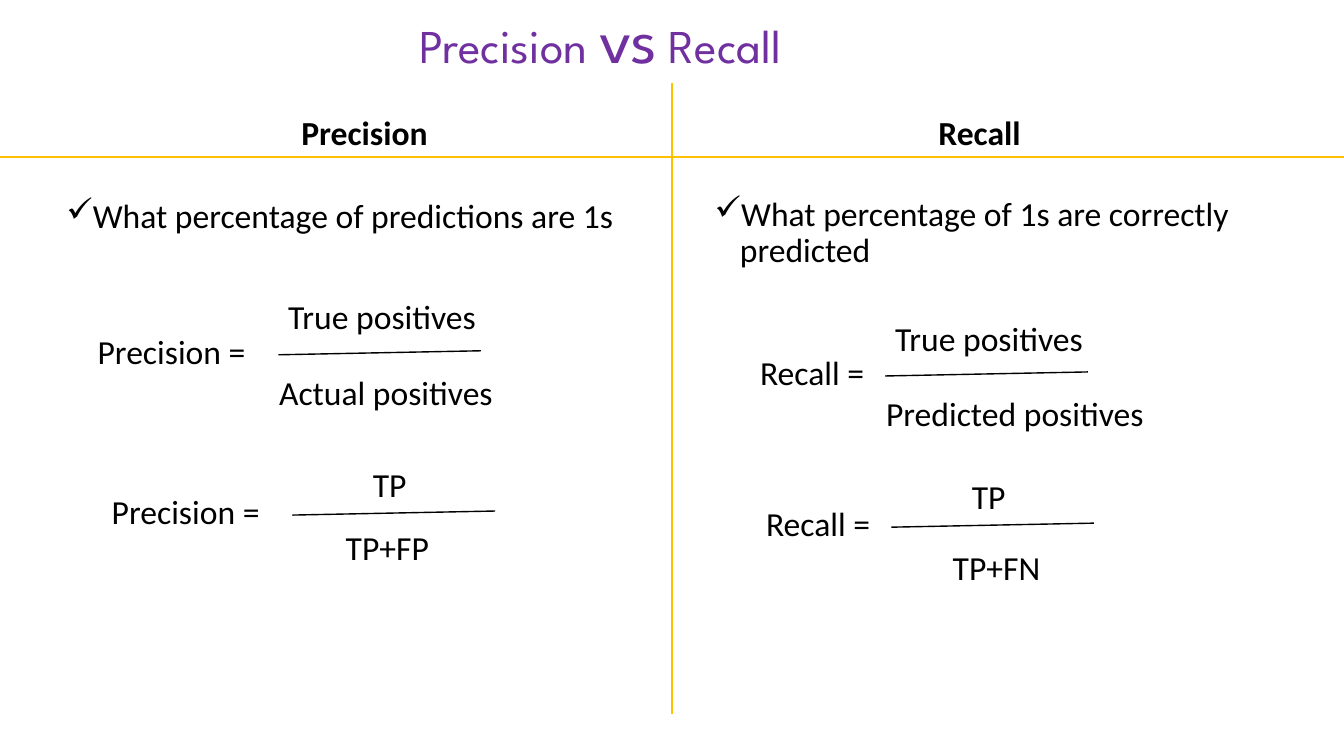
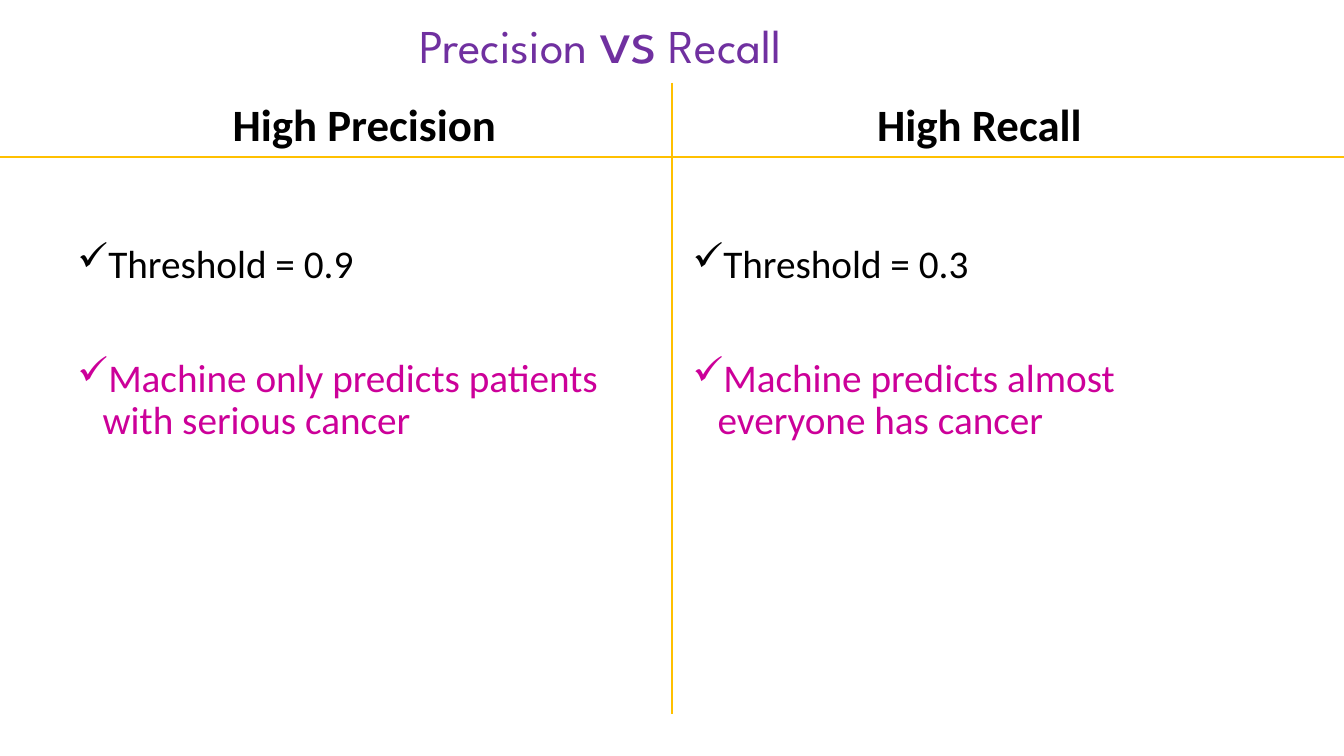
"""Build two slides that compare precision and recall."""
from dataclasses import dataclass

from lxml import etree
from pptx import Presentation
from pptx.dml.color import RGBColor as RGB
from pptx.enum.shapes import MSO_CONNECTOR as Connector
from pptx.enum.text import MSO_ANCHOR as Anchor, PP_ALIGN as Align
from pptx.oxml.ns import qn
from pptx.util import Inches, Pt


@dataclass(frozen=True)
class Theme:
    """Colours, fonts, type sizes and shared measures."""
    black: RGB = RGB(0x00, 0x00, 0x00)
    purple: RGB = RGB(0x70, 0x30, 0xA0)
    magenta: RGB = RGB(0xCC, 0x00, 0x99)
    gold: RGB = RGB(0xFF, 0xC0, 0x00)
    body_font: str = "Calibri"
    title_font: str = "League Spartan"
    title_size: float = 33.6
    versus_size: float = 48
    text_size: float = 24
    large_size: float = 28
    header_size: float = 32
    tight: float = 0.9
    point_gap: float = 51
    width: float = 13.33
    height: float = 7.5
    column_width: float = 5.89
    column_lefts: tuple = (0.67, 6.77)


T = Theme()


@dataclass(frozen=True)
class Part:
    """A numerator or denominator, placed from the bar start and the label top."""
    text: str
    dx: float
    dy: float
    width: float


def add_text(s, x, y, w, h, anchor=Anchor.TOP, wrap=True):
    """Add an empty text box and return its text frame."""
    tf = s.shapes.add_textbox(Inches(x), Inches(y), Inches(w), Inches(h)).text_frame
    tf.word_wrap = wrap
    tf.vertical_anchor = anchor
    return tf


def add_run(p, text, size=T.text_size, color=T.black, font=T.body_font, bold=False):
    """Append one formatted run to a paragraph."""
    r = p.add_run()
    r.text = text
    r.font.name = font
    r.font.size = Pt(size)
    r.font.bold = bold
    r.font.color.rgb = color


def add_line(s, x1, y1, x2, y2, color=T.black, weight=1):
    """Draw a straight line without a shadow."""
    line = s.shapes.add_connector(
        Connector.STRAIGHT, Inches(x1), Inches(y1), Inches(x2), Inches(y2))
    line.line.color.rgb = color
    line.line.width = Pt(weight)
    etree.SubElement(line._element.spPr, qn("a:effectLst"))


def add_title(s):
    """Add the shared title."""
    p = add_text(s, 4.06, 0.01, 5.22, 0.8, Anchor.MIDDLE).paragraphs[0]
    p.line_spacing = T.tight
    for text, size in (("Precision ", T.title_size), ("vs", T.versus_size),
                       (" Recall", T.title_size)):
        add_run(p, text, size, T.purple, T.title_font)


def add_headers(s, headers, size):
    """Add one centred bold header above each column."""
    for x, text in zip(T.column_lefts, headers):
        tf = add_text(s, x, 0.86, T.column_width, 0.7, Anchor.BOTTOM)
        p = tf.paragraphs[0]
        p.alignment = Align.CENTER
        if size == T.header_size:
            tf.margin_top = tf.margin_bottom = Inches(0.07)
        else:
            p.line_spacing = T.tight
        add_run(p, text, size, bold=True)


def add_points(s, x, y, h, points, size):
    """Add a ticked list of (text, colour) points."""
    tf = add_text(s, x, y, T.column_width, h)
    for i, (text, color) in enumerate(points):
        p = tf.add_paragraph() if i else tf.paragraphs[0]
        p.line_spacing = T.tight
        if i:
            p.space_before = Pt(T.point_gap)
        pPr = p._p.get_or_add_pPr()
        pPr.set("marL", str(Inches(0.25)))
        pPr.set("indent", str(-Inches(0.25)))
        etree.SubElement(pPr, qn("a:buChar"), char="✓")
        add_run(p, text, size, color)


def add_fraction(s, label, x, y, bar_dx, top, bottom):
    """Add a labelled fraction with a slightly rising bar."""
    add_run(add_text(s, x, y, bar_dx, 0.5).paragraphs[0], label)
    bar_x = x + bar_dx
    for part in (top, bottom):
        tf = add_text(s, bar_x + part.dx, y + part.dy, part.width, 0.5, wrap=False)
        add_run(tf.paragraphs[0], part.text)
    add_line(s, bar_x, y + 0.29, bar_x + 2.01, y + 0.25)


def add_comparison(prs, headers, header_size):
    """Add a slide with the title, column headers and dividing lines."""
    s = prs.slides.add_slide(prs.slide_layouts[6])
    add_title(s)
    add_headers(s, headers, header_size)
    add_line(s, T.width / 2, 0.82, T.width / 2, 7.08, T.gold, 1.5)
    add_line(s, 0, 1.56, T.width, 1.56, T.gold, 1.5)
    return s


def add_formulas(prs):
    """Add the slide that defines both measures."""
    s = add_comparison(prs, ("Precision", "Recall"), T.text_size)
    add_points(s, 0.56, 1.93, 5.09,
               [("What percentage of predictions are 1s", T.black)], T.text_size)
    add_points(s, 6.99, 1.91, 5.18,
               [("What percentage of 1s are correctly predicted", T.black)], T.text_size)
    words = Part("True positives", 0, -0.34, 2.09)
    symbol = Part("TP", 0.7, -0.27, 0.54)
    for label, x, y, bar_dx, top, bottom in (
            ("Precision =", 0.87, 3.23, 1.89, words,
             Part("Actual positives", -0.09, 0.41, 2.34)),
            ("Precision =", 1.01, 4.82, 1.89, symbol, Part("TP+FP", 0.43, 0.36, 1.04)),
            ("Recall =", 7.44, 3.44, 1.34, words,
             Part("Predicted positives", -0.09, 0.41, 2.78)),
            ("Recall =", 7.5, 4.94, 1.34, symbol, Part("TP+FN", 0.51, 0.44, 1.08))):
        add_fraction(s, label, x, y, bar_dx, top, bottom)


def add_thresholds(prs):
    """Add the slide that contrasts high and low thresholds."""
    s = add_comparison(prs, ("High Precision", "High Recall"), T.header_size)
    columns = (("Threshold = 0.9", "Machine only predicts patients with serious cancer"),
               ("Threshold = 0.3", "Machine predicts almost everyone has cancer"))
    for x, (threshold, effect) in zip(T.column_lefts, columns):
        add_points(s, x, 2.38, 2.8, [(threshold, T.black), (effect, T.magenta)],
                   T.large_size)


def main():
    """Build and save the presentation."""
    prs = Presentation()
    prs.slide_width = Inches(T.width)
    prs.slide_height = Inches(T.height)
    add_formulas(prs)
    add_thresholds(prs)
    prs.save("out.pptx")


if __name__ == "__main__":
    main()
